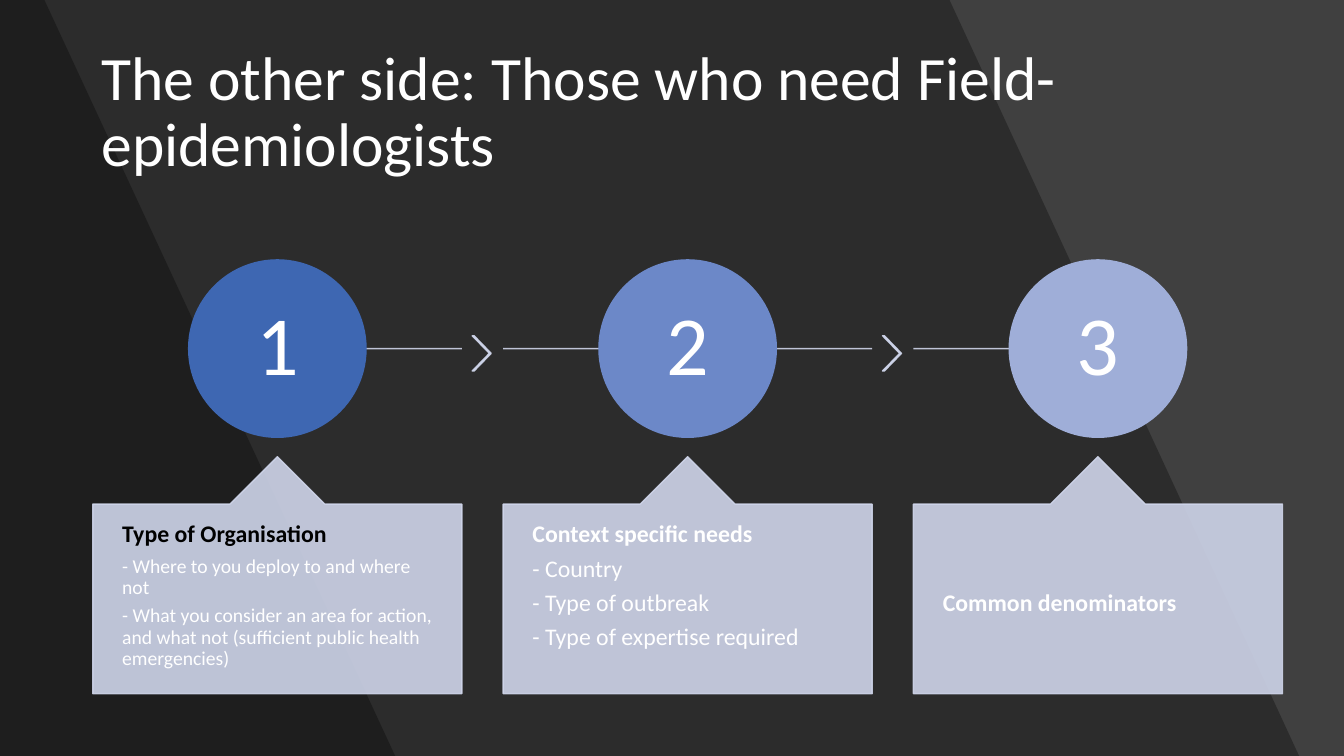
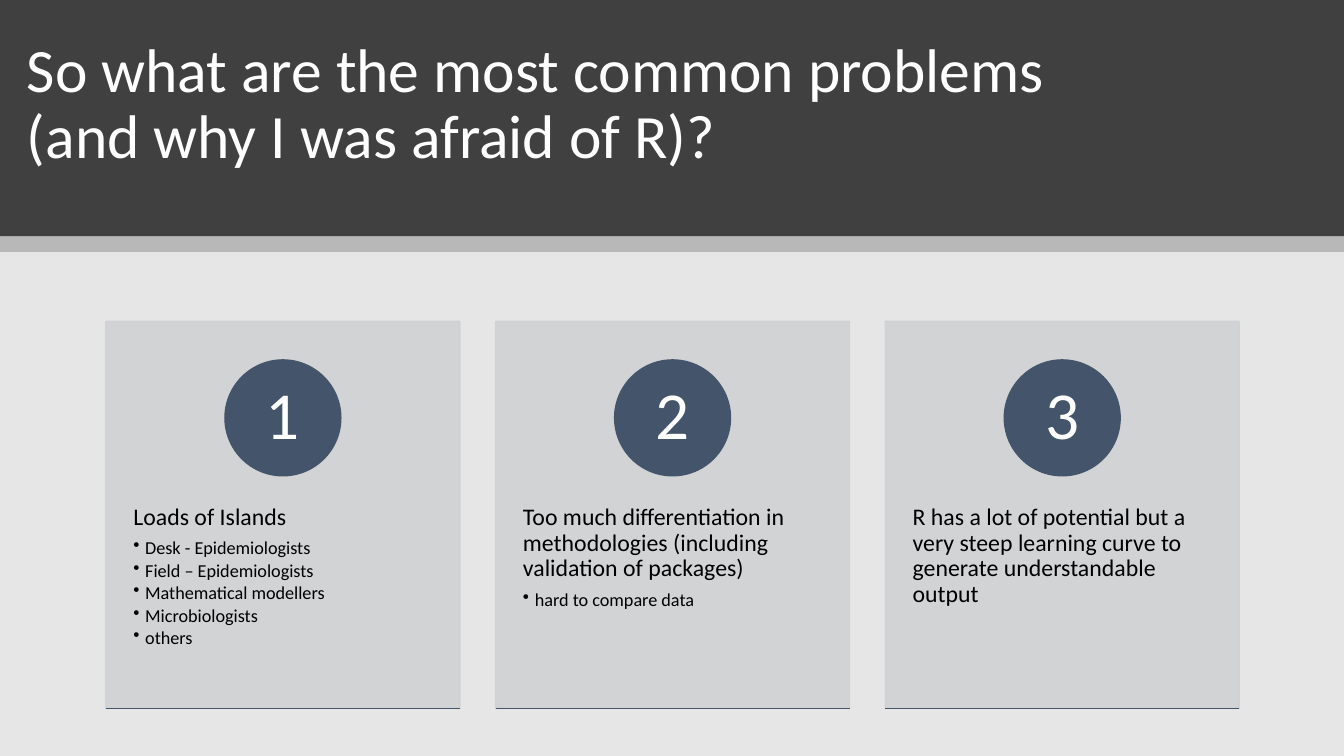
from lxml import etree
from pptx import Presentation
from pptx.dml.color import RGBColor
from pptx.enum.shapes import MSO_CONNECTOR, MSO_SHAPE
from pptx.enum.text import MSO_ANCHOR, MSO_AUTO_SIZE, PP_ALIGN
from pptx.oxml.ns import qn
from pptx.util import Cm, Pt

RECTANGLE = MSO_SHAPE.RECTANGLE
OVAL = MSO_SHAPE.OVAL
CHEVRON = MSO_SHAPE.CHEVRON
CALLOUT = MSO_SHAPE.UP_ARROW_CALLOUT
STRAIGHT = MSO_CONNECTOR.STRAIGHT
TOP, MIDDLE, BOTTOM = MSO_ANCHOR.TOP, MSO_ANCHOR.MIDDLE, MSO_ANCHOR.BOTTOM
LEFT, CENTER = PP_ALIGN.LEFT, PP_ALIGN.CENTER

FONT = "Calibri"
WHITE, BLACK = "FFFFFF", "000000"
CHARCOAL, PALE_GREY, CARD_GREY = "404040", "E7E6E6", "CFD1D4"
LAVENDER, SLATE = "CFD5EA", "44546A"
STEP_BLUES = ["3E67B2", "6C88C8", "9FAED8"]
SLIDE_WIDTH, SLIDE_HEIGHT = 33.87, 19.05

HEADING = {"size": 17, "color": BLACK, "after": 6}
BOLD_HEADING = {**HEADING, "bold": True}
WHITE_HEADING = {**BOLD_HEADING, "color": WHITE}
ITEM = {"size": 17, "color": WHITE, "after": 6}
SMALL_ITEM = {"size": 14, "color": WHITE, "after": 5}
BULLET = {"size": 13, "color": BLACK, "after": 2, "bullet": True}

NEEDS = [
    [("Type of Organisation", BOLD_HEADING),
     ("- Where to you deploy to and where not", SMALL_ITEM),
     ("- What you consider an area for action, and what not "
      "(sufficient public health emergencies)", SMALL_ITEM)],
    [("Context specific needs", WHITE_HEADING),
     ("- Country", ITEM),
     ("- Type of outbreak", ITEM),
     ("- Type of expertise required", ITEM)],
    [("Common denominators", WHITE_HEADING)],
]
NEED_TOP_INSETS = [0.46, 0.46, 2.18]

PROBLEMS = [
    [("Loads of Islands", HEADING),
     ("Desk - Epidemiologists", BULLET),
     ("Field – Epidemiologists", BULLET),
     ("Mathematical modellers", BULLET),
     ("Microbiologists", BULLET),
     ("others", BULLET)],
    [("Too much differentiation in methodologies "
      "(including validation of packages)", HEADING),
     ("hard to compare data", BULLET)],
    [("R has a lot of potential but a very steep learning curve "
      "to generate understandable output", HEADING)],
]


def rgb(color):
    return RGBColor.from_string(color)


def set_opacity(shape, percent):
    """Apply one opacity to every colour of a shape that has no text yet."""
    for color in shape.element.iter(qn("a:srgbClr")):
        etree.SubElement(color, qn("a:alpha"), val=str(percent * 1000))


def paint(shape, color, opacity=100, outlined=True):
    shape.shadow.inherit = False
    shape.fill.solid()
    shape.fill.fore_color.rgb = rgb(color)
    if outlined:
        shape.line.color.rgb = rgb(color)
        shape.line.width = Pt(1)
    else:
        shape.line.fill.background()
    if opacity < 100:
        set_opacity(shape, opacity)


def add_block(slide, kind, box, color, opacity=100, outlined=True, adjustments=()):
    shape = slide.shapes.add_shape(kind, *map(Cm, box))
    for index, value in enumerate(adjustments):
        shape.adjustments[index] = value
    paint(shape, color, opacity, outlined)
    return shape


def add_line(slide, start, end, y, color, opacity=100):
    line = slide.shapes.add_connector(STRAIGHT, Cm(start), Cm(y), Cm(end), Cm(y))
    line.line.color.rgb = rgb(color)
    line.line.width = Pt(1)
    etree.SubElement(line.element.spPr, qn("a:effectLst"))
    if opacity < 100:
        set_opacity(line, opacity)


def add_slanted_panel(slide, top_width, bottom_width):
    """Darken the slide from its left edge to a slanted right edge."""
    builder = slide.shapes.build_freeform(0, 0)
    corners = [(top_width, 0), (bottom_width, SLIDE_HEIGHT), (0, SLIDE_HEIGHT)]
    builder.add_line_segments([(Cm(x), Cm(y)) for x, y in corners])
    paint(builder.convert_to_shape(), BLACK, 30, outlined=False)


def format_frame(frame, anchor, insets):
    values = {"word_wrap": True, "auto_size": MSO_AUTO_SIZE.NONE,
              "vertical_anchor": anchor}
    sides = ("margin_left", "margin_top", "margin_right", "margin_bottom")
    values.update(zip(sides, map(Cm, insets)))
    for name, value in values.items():
        setattr(frame, name, value)


def add_bullet(paragraph):
    properties = paragraph._p.get_or_add_pPr()
    properties.set("marL", str(Cm(0.3)))
    properties.set("indent", str(-Cm(0.3)))
    etree.SubElement(properties, qn("a:buChar"), char="•")


def write(frame, lines, anchor, insets, alignment=LEFT):
    """Fill a text frame with (text, format) pairs, one paragraph each."""
    format_frame(frame, anchor, insets)
    for index, (text, style) in enumerate(lines):
        paragraph = frame.add_paragraph() if index else frame.paragraphs[0]
        layout = {"alignment": alignment, "line_spacing": 0.9,
                  "space_before": Pt(0), "space_after": Pt(style.get("after", 0))}
        for name, value in layout.items():
            setattr(paragraph, name, value)
        if style.get("bullet"):
            add_bullet(paragraph)
        run = paragraph.add_run()
        run.text = text
        font = {"name": FONT, "size": Pt(style["size"]),
                "bold": style.get("bold", False)}
        for name, value in font.items():
            setattr(run.font, name, value)
        run.font.color.rgb = rgb(style["color"])


def add_title(slide, text, box, anchor):
    """Format the title placeholder and bring it in front of the bands."""
    title = slide.shapes.title
    for name, value in zip(("left", "top", "width", "height"), box):
        setattr(title, name, Cm(value))
    write(title.text_frame, [(text, {"size": 44, "color": WHITE})],
          anchor, (0.25, 0.13, 0.25, 0.13))
    title.element.getparent().append(title.element)


def add_number_circle(slide, number, center, top, diameter, color, size):
    box = (center - diameter / 2, top, diameter, diameter)
    circle = add_block(slide, OVAL, box, color)
    write(circle.text_frame, [(str(number), {"size": size, "color": WHITE})],
          MIDDLE, (0, 0, 0, 0), CENTER)


def new_slide(presentation, background):
    slide = presentation.slides.add_slide(presentation.slide_layouts[5])
    slide.background.fill.solid()
    slide.background.fill.fore_color.rgb = rgb(background)
    return slide


def build_needs_slide(presentation):
    slide = new_slide(presentation, CHARCOAL)
    add_slanted_panel(slide, 23.93, 32.74)
    add_slanted_panel(slide, 1.12, 9.96)
    add_title(slide, "The other side: Those who need Field-epidemiologists",
              (2.31, 1.02, 29.24, 3.68), MIDDLE)

    first_left, width, gap = 2.34, 9.3, 1.04
    diameter, circle_top = 4.47, 6.55
    line_y = circle_top + diameter / 2
    last = len(NEEDS) - 1
    for index, lines in enumerate(NEEDS):
        left = first_left + index * (width + gap)
        right, center = left + width, left + width / 2
        add_line(slide, left if index else center,
                 right if index < last else center, line_y, LAVENDER, 90)
        if index < last:
            add_block(slide, CHEVRON, (right + gap / 2 - 0.26, 8.46, 0.48, 0.89),
                      LAVENDER, 90, adjustments=[0.9])
        add_number_circle(slide, index + 1, center, circle_top, diameter,
                          STEP_BLUES[index], 60)
        callout = add_block(slide, CALLOUT, (left, 11.51, width, 5.97), LAVENDER,
                            90, adjustments=[0.5, 0.2, 0.2, 0.8])
        # The arrow tip takes the top fifth of the callout.
        write(callout.text_frame, lines, TOP,
              (0.74, NEED_TOP_INSETS[index], 0.74, 0.46))


def build_problems_slide(presentation):
    slide = new_slide(presentation, PALE_GREY)
    add_block(slide, RECTANGLE, (0, 0, SLIDE_WIDTH, 5.95), CHARCOAL, outlined=False)
    add_block(slide, RECTANGLE, (0, 5.95, SLIDE_WIDTH, 0.4), BLACK, 20, outlined=False)
    add_title(slide, "So what are the most common problems (and why I was afraid of R)?",
              (0.43, 0.69, 28.55, 3.78), BOTTOM)

    first_left, width, gap = 2.67, 8.92, 0.9
    top, height = 8.1, 9.75
    for index, lines in enumerate(PROBLEMS):
        left = first_left + index * (width + gap)
        card = add_block(slide, RECTANGLE, (left, top, width, height), CARD_GREY, 90)
        write(card.text_frame, lines, TOP, (0.69, 4.62, 0.69, 0.9))
        add_number_circle(slide, index + 1, left + width / 2, 9.07, 2.92, SLATE, 48)
        add_line(slide, left, left + width, top + height, SLATE)


def main():
    presentation = Presentation()
    presentation.slide_width = Cm(SLIDE_WIDTH)
    presentation.slide_height = Cm(SLIDE_HEIGHT)
    build_needs_slide(presentation)
    build_problems_slide(presentation)
    presentation.save("out.pptx")


if __name__ == "__main__":
    main()
